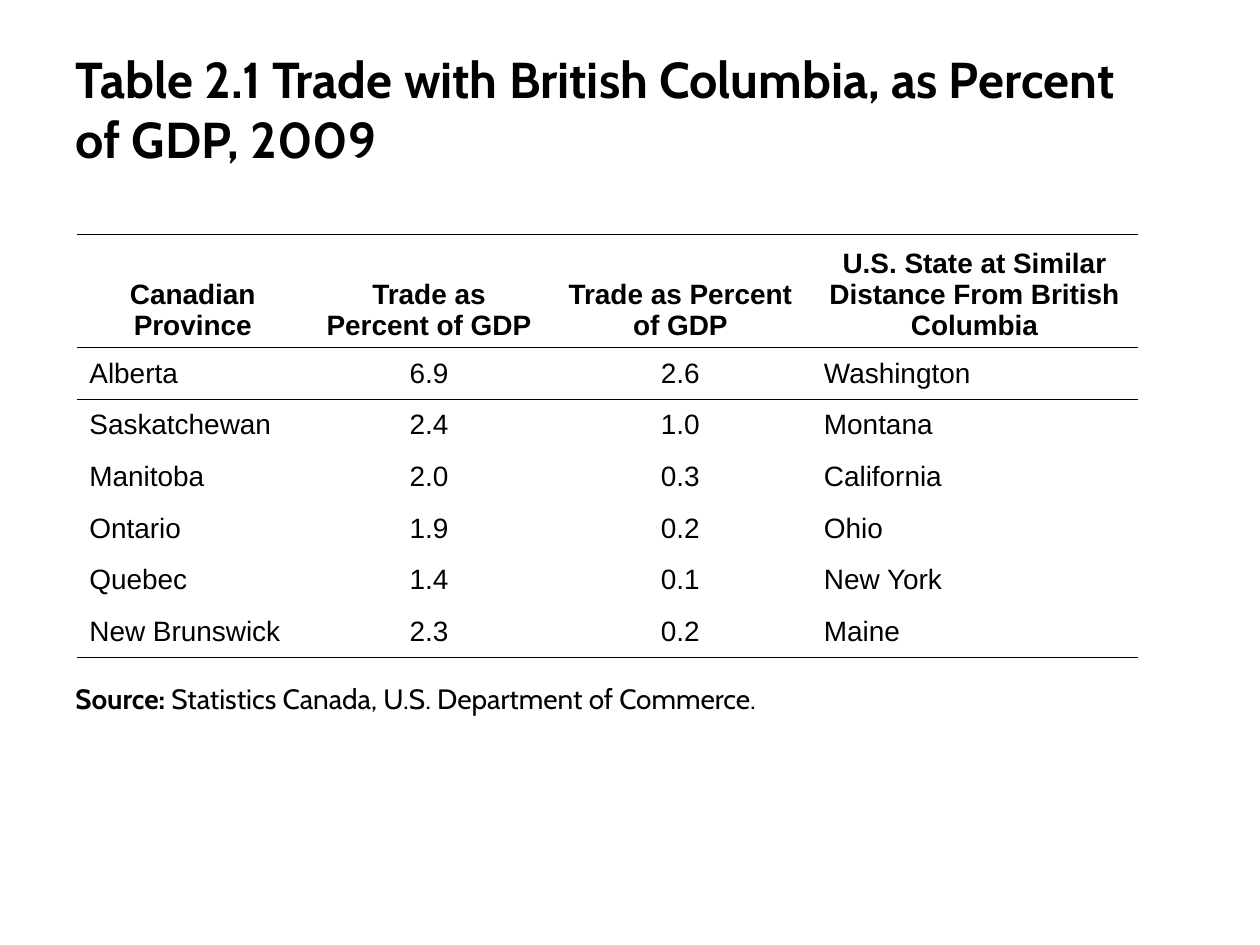
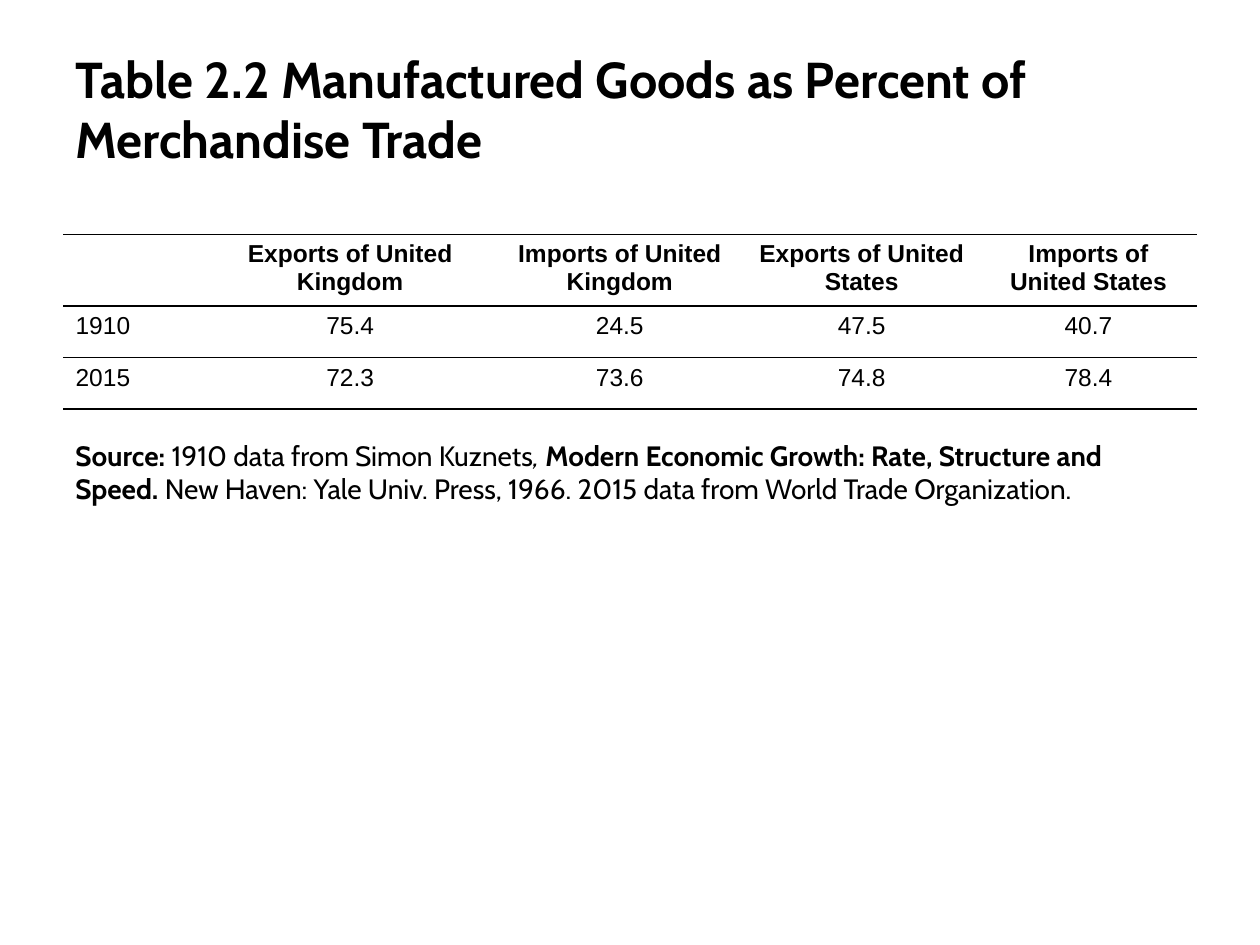
from dataclasses import dataclass

from lxml.etree import SubElement
from pptx import Presentation
from pptx.dml.color import RGBColor
from pptx.enum.text import MSO_ANCHOR, PP_ALIGN
from pptx.oxml import parse_xml
from pptx.oxml.ns import nsdecls, qn
from pptx.slide import Slide
from pptx.table import _Cell
from pptx.text.text import Font, TextFrame
from pptx.util import Inches, Pt

COLORS = {"text": "000000", "rule": "000000", "page": "FFFFFF"}
HEADING_FONT = "Cabin"
TABLE_FONT = "Arial"
PLAIN_TABLE_STYLE = "{2D5ABB26-0587-4C30-8999-92F81FD0307C}"
MARGIN = 0.5
TABLE_TOP = 1.86
ROW_HEIGHT = 0.41
RULE_WIDTH = Pt(1)


@dataclass(frozen=True)
class Span:
    text: str
    bold: bool = False
    italic: bool = False


@dataclass(frozen=True)
class DataTable:
    left: float
    column_widths: tuple[float, ...]
    header_height: float
    font_size: float
    header_anchor: MSO_ANCHOR
    body_anchor: MSO_ANCHOR
    left_aligned_columns: tuple[int, ...]
    rows: tuple[tuple[str, ...], ...]


@dataclass(frozen=True)
class TablePage:
    title: str
    title_width: float
    table: DataTable
    source_top: float
    source_width: float
    source_height: float
    source: tuple[Span, ...]


PAGES = (
    TablePage(
        title="Table 2.1 Trade with British Columbia, as Percent of GDP, 2009",
        title_width=8.82,
        table=DataTable(
            left=0.61,
            column_widths=(1.84, 1.91, 2.08, 2.59),
            header_height=0.84,
            font_size=16,
            header_anchor=MSO_ANCHOR.BOTTOM,
            body_anchor=MSO_ANCHOR.MIDDLE,
            left_aligned_columns=(0, 3),
            rows=(
                (
                    "Canadian Province",
                    "Trade as Percent of GDP",
                    "Trade as Percent of GDP",
                    "U.S. State at Similar Distance From British Columbia",
                ),
                ("Alberta", "6.9", "2.6", "Washington"),
                ("Saskatchewan", "2.4", "1.0", "Montana"),
                ("Manitoba", "2.0", "0.3", "California"),
                ("Ontario", "1.9", "0.2", "Ohio"),
                ("Quebec", "1.4", "0.1", "New York"),
                ("New Brunswick", "2.3", "0.2", "Maine"),
            ),
        ),
        source_top=5.36,
        source_width=6.54,
        source_height=0.45,
        source=(
            Span("Source:", bold=True),
            Span(" Statistics Canada, U.S. Department of Commerce."),
        ),
    ),
    TablePage(
        title="Table 2.2 Manufactured Goods as Percent of Merchandise Trade",
        title_width=9,
        table=DataTable(
            left=MARGIN,
            column_widths=(1.12, 2.32, 1.96, 1.88, 1.72),
            header_height=0.54,
            font_size=14,
            header_anchor=MSO_ANCHOR.TOP,
            body_anchor=MSO_ANCHOR.TOP,
            left_aligned_columns=(0,),
            rows=(
                (
                    "",
                    "Exports of United Kingdom",
                    "Imports of United Kingdom",
                    "Exports of United States",
                    "Imports of United States",
                ),
                ("1910", "75.4", "24.5", "47.5", "40.7"),
                ("2015", "72.3", "73.6", "74.8", "78.4"),
            ),
        ),
        source_top=3.43,
        source_width=9,
        source_height=0.99,
        source=(
            Span("Source: ", bold=True),
            Span("1910 data from Simon Kuznets"),
            Span(", ", italic=True),
            Span("Modern Economic Growth: Rate, Structure and Speed. ", bold=True),
            Span("New Haven: Yale Univ. Press, 1966. 2015 data from World Trade Organization."),
        ),
    ),
)


def style_font(font: Font, name: str, size: float) -> None:
    font.name = name
    font.size = Pt(size)
    font.color.rgb = RGBColor.from_string(COLORS["text"])


def add_text_box(page: Slide, top: float, width: float, height: float) -> TextFrame:
    box = page.shapes.add_textbox(Inches(MARGIN), Inches(top), Inches(width), Inches(height))
    box.text_frame.word_wrap = True
    return box.text_frame


def add_title(page: Slide, text: str, width: float) -> None:
    frame = add_text_box(page, 0.24, width, 1.2)
    frame.margin_top = frame.margin_bottom = Inches(0.1)
    frame.vertical_anchor = MSO_ANCHOR.BOTTOM
    para = frame.paragraphs[0]
    para.text = text
    style_font(para.font, HEADING_FONT, 28.8)
    para.font.bold = True


def add_source(page: Slide, content: TablePage) -> None:
    frame = add_text_box(page, content.source_top, content.source_width, content.source_height)
    para = frame.paragraphs[0]
    style_font(para.font, HEADING_FONT, 16)
    for span in content.source:
        run = para.add_run()
        run.text = span.text
        run.font.bold = span.bold
        run.font.italic = span.italic


def add_rule(cell: _Cell, side: str) -> None:
    line = parse_xml(f'<a:{side} {nsdecls("a")} w="{RULE_WIDTH}"/>')
    fill = SubElement(line, qn("a:solidFill"))
    SubElement(fill, qn("a:srgbClr"), val=COLORS["rule"])
    cell._tc.get_or_add_tcPr().insert(0, line)


def add_data_table(page: Slide, content: DataTable) -> None:
    row_count = len(content.rows)
    heights = [content.header_height] + [ROW_HEIGHT] * (row_count - 1)
    frame = page.shapes.add_table(
        row_count,
        len(content.column_widths),
        Inches(content.left),
        Inches(TABLE_TOP),
        Inches(sum(content.column_widths)),
        Inches(sum(heights)),
    )
    table = frame.table
    table.horz_banding = False
    table._tbl.tblPr.find(qn("a:tableStyleId")).text = PLAIN_TABLE_STYLE
    for column, width in zip(table.columns, content.column_widths):
        column.width = Inches(width)
    for row_index, values in enumerate(content.rows):
        table.rows[row_index].height = Inches(heights[row_index])
        is_header = row_index == 0
        for column_index, value in enumerate(values):
            cell = table.cell(row_index, column_index)
            cell.fill.background()
            cell.vertical_anchor = content.header_anchor if is_header else content.body_anchor
            para = cell.text_frame.paragraphs[0]
            para.text = value
            is_left = not is_header and column_index in content.left_aligned_columns
            para.alignment = PP_ALIGN.LEFT if is_left else PP_ALIGN.CENTER
            style_font(para.font, TABLE_FONT, content.font_size)
            para.font.bold = is_header
            if is_header or row_index == row_count - 1:
                add_rule(cell, "lnB")
            if row_index <= 1:
                add_rule(cell, "lnT")


def main() -> None:
    deck = Presentation()
    deck.slide_width = Inches(10)
    deck.slide_height = Inches(7.5)
    background = deck.slide_master.background.fill
    background.solid()
    background.fore_color.rgb = RGBColor.from_string(COLORS["page"])
    for content in PAGES:
        page = deck.slides.add_slide(deck.slide_layouts[6])
        add_title(page, content.title, content.title_width)
        add_data_table(page, content.table)
        add_source(page, content)
    deck.save("out.pptx")


if __name__ == "__main__":
    main()
